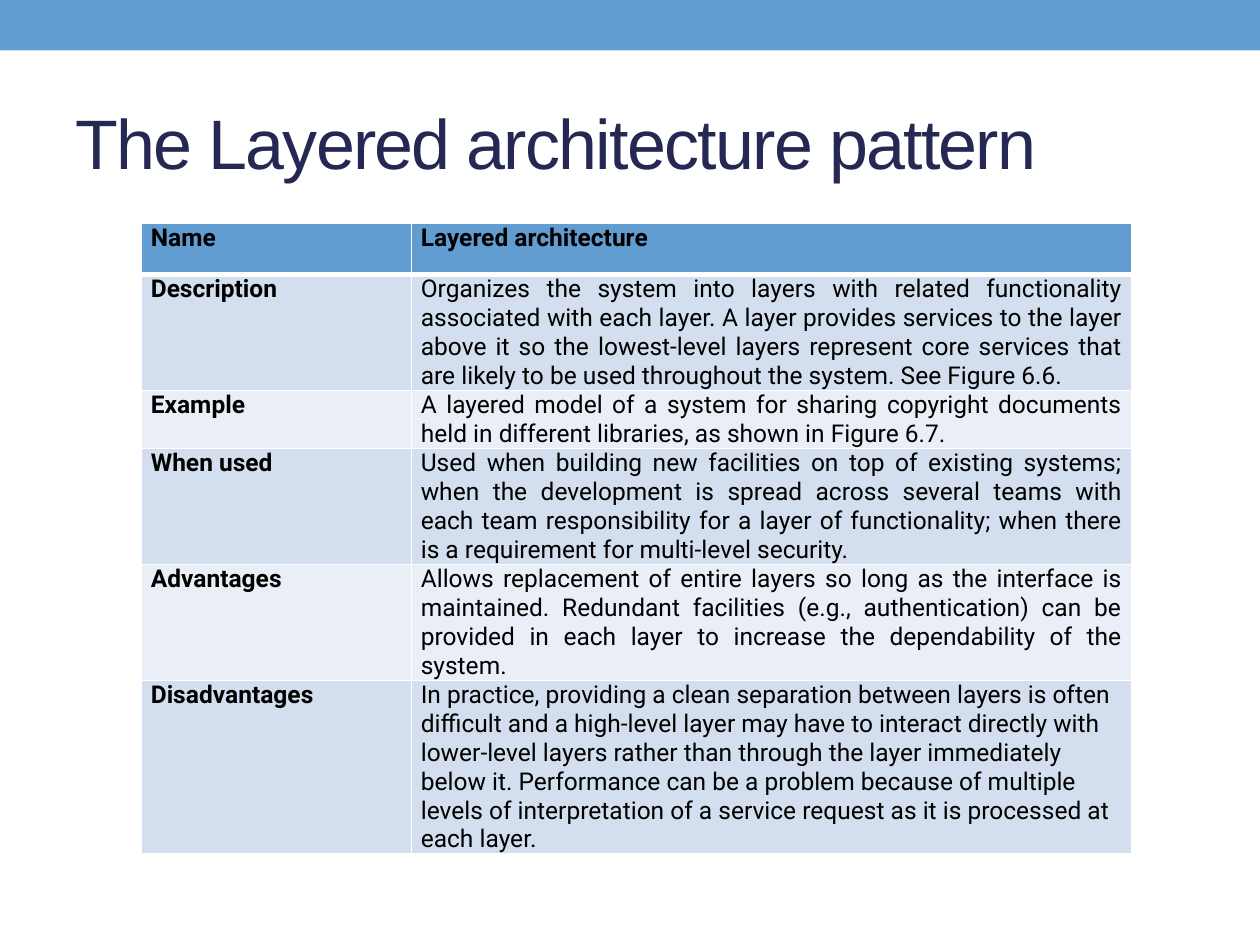
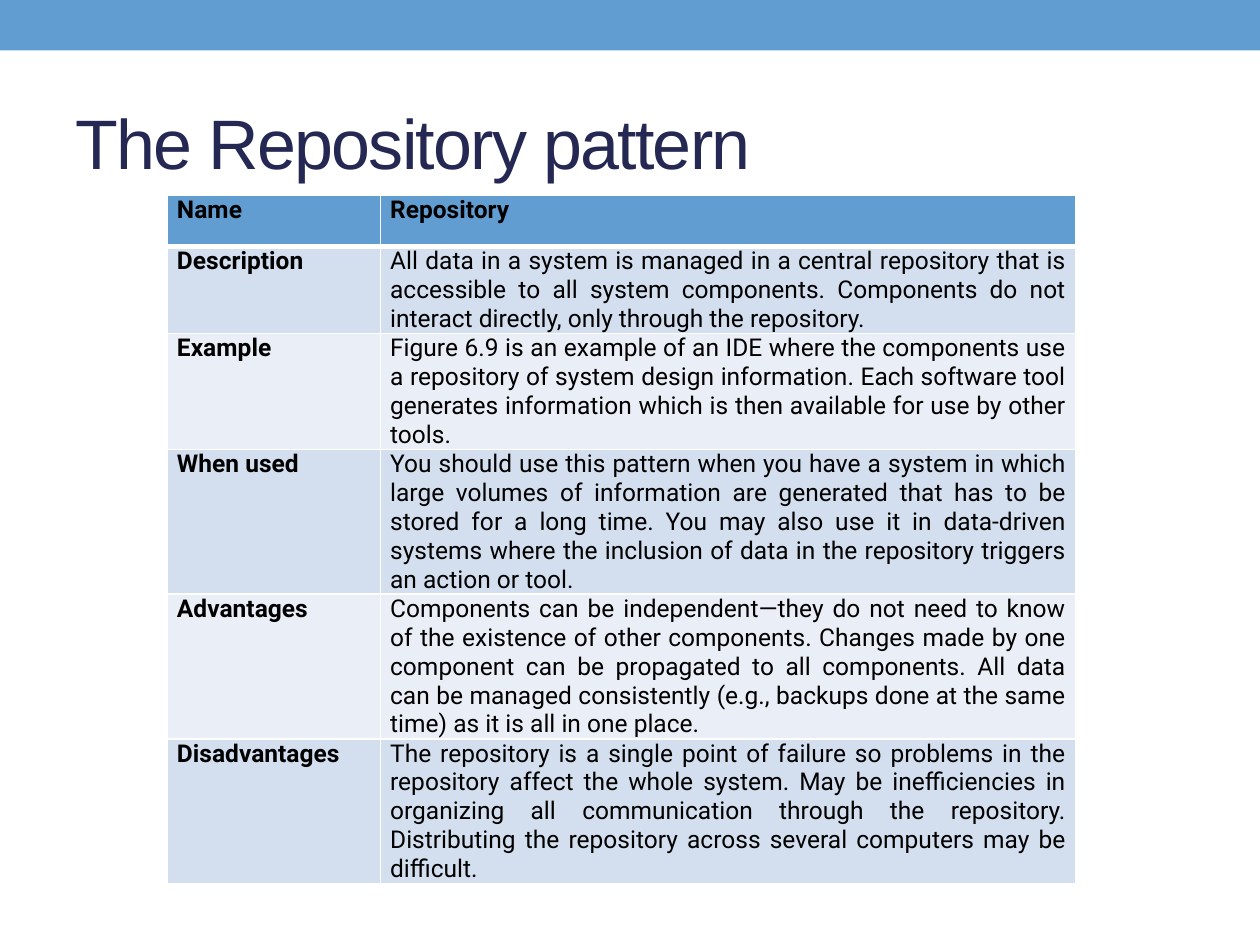
from dataclasses import dataclass

from lxml.etree import SubElement
from pptx import Presentation
from pptx.dml.color import RGBColor
from pptx.enum.shapes import MSO_SHAPE as Shape
from pptx.enum.text import MSO_ANCHOR as Anchor, MSO_AUTO_SIZE as AutoSize, PP_ALIGN as Align
from pptx.oxml.ns import qn
from pptx.util import Inches, Pt

WIDTH, HEIGHT = Inches(10), Inches(7.5)


@dataclass(frozen=True)
class Theme:
    accent: str = "629DD1"
    title: str = "242852"
    text: str = "000000"
    border: str = "FFFFFF"
    bands: tuple = ("D3DFEE", "EAEFF7")
    title_font: str = "Arial"
    table_font: str = "Roboto"
    title_size: int = 40
    table_size: int = 14
    thin: int = 1
    thick: int = 3


THEME = Theme()
ROW_HEIGHT = Pt(29.2)
CELL_MARGIN = Pt(5.4)
ROW_NAMES = ("Name", "Description", "Example", "When used", "Advantages", "Disadvantages")

LAYERED = (
    "Layered architecture",
    "Organizes the system into layers with related functionality associated with each layer. "
    "A layer provides services to the layer above it so the lowest-level layers represent core "
    "services that are likely to be used throughout the system. See Figure 6.6.",
    "A layered model of a system for sharing copyright documents held in different libraries, "
    "as shown in Figure 6.7.",
    "Used when building new facilities on top of existing systems; when the development is "
    "spread across several teams with each team responsibility for a layer of functionality; "
    "when there is a requirement for multi-level security.",
    "Allows replacement of entire layers so long as the interface is maintained. Redundant "
    "facilities (e.g., authentication) can be provided in each layer to increase the "
    "dependability of the system.",
    "In practice, providing a clean separation between layers is often difficult and a "
    "high-level layer may have to interact directly with lower-level layers rather than through "
    "the layer immediately below it. Performance can be a problem because of multiple levels of "
    "interpretation of a service request as it is processed at each layer.",
)

REPOSITORY = (
    "Repository",
    "All data in a system is managed in a central repository that is accessible to all system "
    "components. Components do not interact directly, only through the repository.",
    "Figure 6.9 is an example of an IDE where the components use a repository of system design "
    "information. Each software tool generates information which is then available for use by "
    "other tools.",
    "You should use this pattern when you have a system in which large volumes of information "
    "are generated that has to be stored for a long time. You may also use it in data-driven "
    "systems where the inclusion of data in the repository triggers an action or tool.",
    "Components can be independent—they do not need to know of the existence of other "
    "components. Changes made by one component can be propagated to all components. All data "
    "can be managed consistently (e.g., backups done at the same time) as it is all in one place.",
    "The repository is a single point of failure so problems in the repository affect the whole "
    "system. May be inefficiencies in organizing all communication through the repository. "
    "Distributing the repository across several computers may be difficult.",
)


def across(percent):
    return int(WIDTH * percent / 100)


def down(percent):
    return int(HEIGHT * percent / 100)


def paint(fill, color):
    fill.solid()
    fill.fore_color.rgb = RGBColor.from_string(color)


def write(frame, text, *, font, size, color, bold=False, align=Align.LEFT, spacing=0):
    """Fill a text frame with one formatted paragraph; spacing is in points."""
    para = frame.paragraphs[0]
    para.alignment = align
    span = para.add_run()
    span.text = text
    span.font.name, span.font.size, span.font.bold = font, Pt(size), bold
    span.font.color.rgb = RGBColor.from_string(color)
    if spacing:
        span.font._element.set("spc", str(spacing * 100))


def add_band(page):
    band = page.shapes.add_shape(Shape.RECTANGLE, 0, 0, WIDTH, Inches(0.4))
    band.shadow.inherit = False
    paint(band.fill, THEME.accent)
    band.line.fill.background()


def add_title(page, text):
    title = page.shapes.title
    title.left, title.top = across(5), Inches(0.58)
    title.width, title.height = across(90), Inches(1.08)
    frame = title.text_frame
    frame.auto_size = AutoSize.NONE
    frame.vertical_anchor = Anchor.MIDDLE
    write(frame, text, font=THEME.title_font, size=THEME.title_size,
          color=THEME.title, spacing=-1)


def add_page(deck, title):
    """Start a page with the shared band and title."""
    page = deck.slides.add_slide(deck.slide_layouts.get_by_name("Title Only"))
    add_band(page)
    add_title(page, title)
    return page


def add_borders(cell, **weights):
    """Set cell borders; weights are points by side: L, R, T, B."""
    properties = cell._tc.get_or_add_tcPr()
    for side in "LRTB":
        line = SubElement(properties, qn(f"a:ln{side}"),
                          w=str(Pt(weights.get(side, THEME.thin))))
        fill = SubElement(line, qn("a:solidFill"))
        SubElement(fill, qn("a:srgbClr"), val=THEME.border)


def format_cell(cell, text, row, *, bold, align):
    cell.margin_left = cell.margin_right = CELL_MARGIN
    cell.margin_top = cell.margin_bottom = 0
    # A thick rule separates the header from the rows below
    add_borders(cell, **({0: {"B": THEME.thick}, 1: {"T": THEME.thick}}.get(row, {})))
    paint(cell.fill, THEME.bands[(row - 1) % 2] if row else THEME.accent)
    write(cell.text_frame, text, font=THEME.table_font, size=THEME.table_size,
          color=THEME.text, bold=bold, align=align)


def add_pattern_table(page, details, *, left, top, columns, last_align=Align.JUSTIFY):
    """Place a pattern table; left, top and columns are percents of the slide."""
    count = len(ROW_NAMES)
    table = page.shapes.add_table(count, len(columns), across(left), down(top),
                                  across(sum(columns)), ROW_HEIGHT * count).table
    table.horz_banding = False
    for column, share in zip(table.columns, columns):
        column.width = across(share)
    for row, (name, detail) in enumerate(zip(ROW_NAMES, details)):
        table.rows[row].height = ROW_HEIGHT
        align = last_align if row == count - 1 else Align.JUSTIFY
        format_cell(table.cell(row, 0), name, row, bold=True, align=Align.JUSTIFY)
        format_cell(table.cell(row, 1), detail, row, bold=row == 0, align=align)


def main():
    deck = Presentation()
    deck.slide_width, deck.slide_height = WIDTH, HEIGHT

    # Layered architecture
    page = add_page(deck, "The Layered architecture pattern")
    add_pattern_table(page, LAYERED, left=11.22, top=23.64, columns=(21.43, 57.15),
                      last_align=Align.LEFT)

    # Repository
    page = add_page(deck, "The Repository pattern")
    add_pattern_table(page, REPOSITORY, left=13.3, top=20.67, columns=(16.92, 55.15))

    deck.save("out.pptx")


if __name__ == "__main__":
    main()
